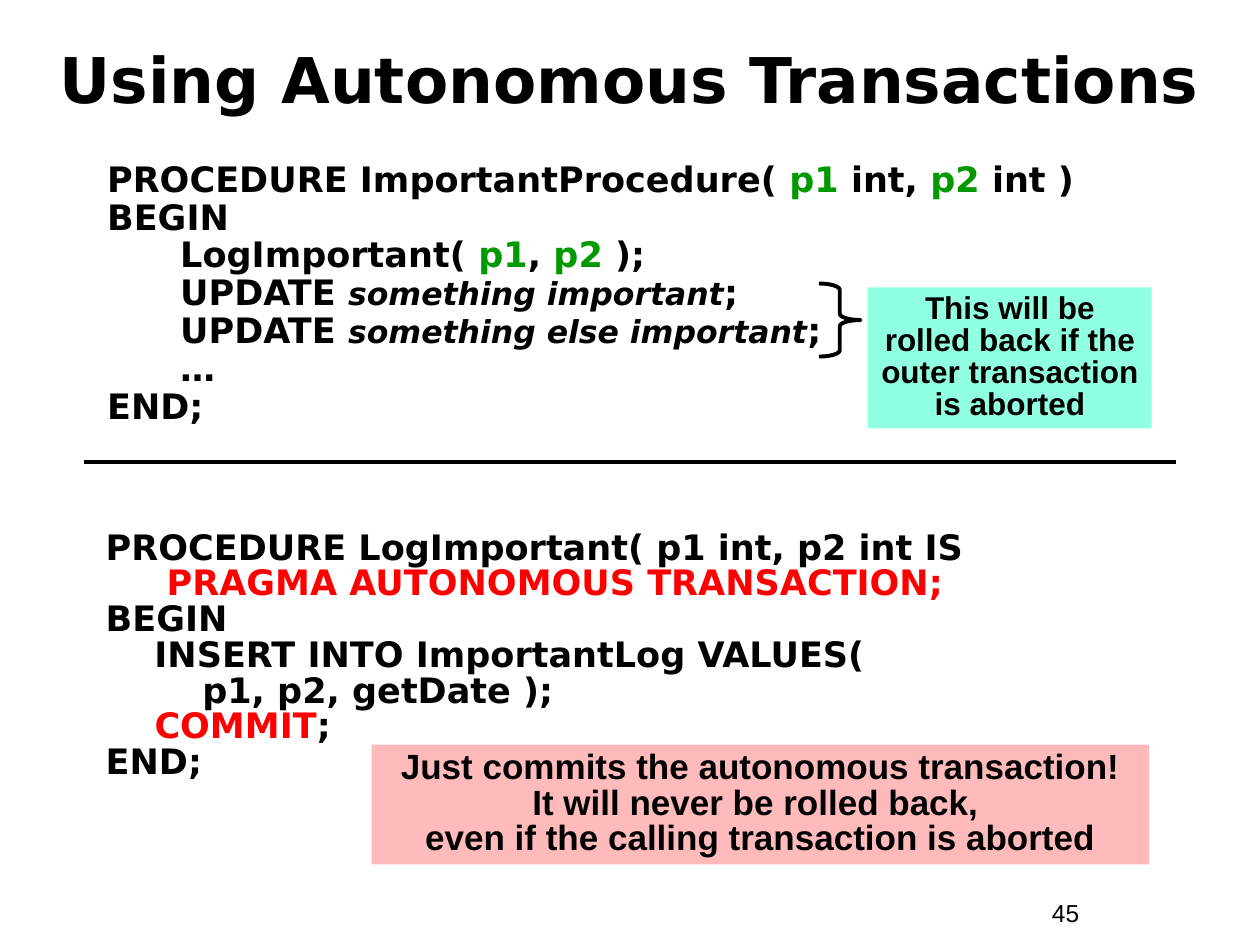
import pptx
import pptx.dml.color
import pptx.enum.shapes
import pptx.enum.text
import pptx.oxml
import pptx.oxml.ns
import pptx.util
from pptx.util import Inches

Align = pptx.enum.text.PP_ALIGN
Anchor = pptx.enum.text.MSO_ANCHOR
Shape = pptx.enum.shapes.MSO_SHAPE

BLACK, GREEN, RED = "000000", "009900", "FF0000"
PINK, MINT = "FFBBBB", "91FFE2"
CODE_FONT, NOTE_FONT = "DejaVu Sans", "Arial"


def rgb(value):
    return pptx.dml.color.RGBColor.from_string(value)


def add_run(paragraph, text, *, font, size, color=BLACK, bold=True, italic=False):
    """Add formatted text, turning each newline into a line break."""
    for index, line in enumerate(text.split("\n")):
        if index:
            paragraph.add_line_break()
        run = paragraph.add_run()
        run.text = line
        run.font.name = font
        run.font.size = pptx.util.Pt(size)
        run.font.bold = bold
        run.font.italic = italic
        run.font.color.rgb = rgb(color)


def write(frame, paragraphs, *, align=Align.LEFT, anchor=Anchor.TOP, spacing=1.0,
          before=0, hanging=0, **style):
    """Fill a frame; a paragraph is a list of strings and (string, format) pairs."""
    frame.word_wrap = True
    frame.auto_size = pptx.enum.text.MSO_AUTO_SIZE.NONE
    frame.vertical_anchor = anchor
    frame.margin_left = frame.margin_right = Inches(0.1)
    frame.margin_top = frame.margin_bottom = Inches(0.05)
    for index, pieces in enumerate(paragraphs):
        paragraph = frame.add_paragraph() if index else frame.paragraphs[0]
        properties = paragraph._p.get_or_add_pPr()
        properties.set("marL", str(Inches(hanging)))
        properties.set("indent", str(-Inches(hanging)))
        properties.append(pptx.oxml.parse_xml(
            f"<a:buNone {pptx.oxml.ns.nsdecls('a')}/>"))
        paragraph.alignment = align
        paragraph.line_spacing = spacing
        paragraph.space_before = pptx.util.Pt(before if index else 0)
        for piece in pieces:
            text, changes = (piece, {}) if isinstance(piece, str) else piece
            add_run(paragraph, text, **{**style, **changes})


class SlideBuilder:
    code_style = dict(font=CODE_FONT, size=20, spacing=0.85, hanging=0.38)
    note_style = dict(font=NOTE_FONT, align=Align.CENTER, spacing=0.85)
    line_width = pptx.util.Pt(2.25)

    def __init__(self, slide):
        self.slide = slide

    def place(self, shape, box):
        shape.left, shape.top, shape.width, shape.height = map(Inches, box)
        return shape.text_frame

    def title(self, text, box):
        write(self.place(self.slide.shapes.title, box), [[text]], font=CODE_FONT,
              size=36, align=Align.CENTER, anchor=Anchor.MIDDLE)

    def body_code(self, lines, box):
        write(self.place(self.slide.placeholders[1], box), lines, before=1.2,
              **self.code_style)

    def text(self, lines, box, **style):
        frame = self.slide.shapes.add_textbox(*map(Inches, box)).text_frame
        write(frame, lines, **style)

    def code(self, lines, box):
        self.text(lines, box, **self.code_style)

    def preset(self, kind, box):
        shape = self.slide.shapes.add_shape(kind, *map(Inches, box))
        shape.shadow.inherit = False
        return shape

    def note(self, text, box, fill, size):
        shape = self.preset(Shape.RECTANGLE, box)
        shape.fill.solid()
        shape.fill.fore_color.rgb = rgb(fill)
        shape.line.fill.background()
        write(shape.text_frame, [[text]], size=size, **self.note_style)

    def brace(self, box):
        shape = self.preset(Shape.RIGHT_BRACE, box)
        shape.adjustments[0] = 0.15
        shape.fill.background()
        self.stroke(shape)

    def divider(self, left, right, y):
        line = self.slide.shapes.add_connector(
            pptx.enum.shapes.MSO_CONNECTOR.STRAIGHT,
            Inches(left), Inches(y), Inches(right), Inches(y))
        self.stroke(line)
        line._element.spPr.append(pptx.oxml.parse_xml(
            f"<a:effectLst {pptx.oxml.ns.nsdecls('a')}/>"))

    def stroke(self, shape):
        shape.line.color.rgb = rgb(BLACK)
        shape.line.width = self.line_width


def update_line(target):
    return ["      UPDATE ", (target, dict(size=18, italic=True)), ";"]


def main():
    presentation = pptx.Presentation()
    presentation.slide_width, presentation.slide_height = Inches(10), Inches(7.5)
    builder = SlideBuilder(presentation.slides.add_slide(presentation.slide_layouts[1]))

    p1, p2 = (("p1", dict(color=GREEN)), ("p2", dict(color=GREEN)))
    builder.title("Using Autonomous Transactions", (0.33, 0.25, 9.33, 0.75))
    builder.body_code([
        ["PROCEDURE ImportantProcedure( ", p1, " int, ", p2, " int )"],
        ["BEGIN"],
        ["      LogImportant( ", p1, ", ", p2, " );"],
        update_line("something important"),
        update_line("something else important"),
        ["      …"],
        ["END;"],
    ], (0.75, 1.25, 8.58, 2.42))
    builder.divider(0.67, 9.33, 3.67)
    builder.code([
        ["PROCEDURE LogImportant( p1 int, p2 int IS"],
        [("     PRAGMA AUTONOMOUS TRANSACTION;", dict(color=RED))],
        ["BEGIN"],
        ["    INSERT INTO ImportantLog VALUES( \n    p1, p2, getDate );"],
        ["    ", ("COMMIT", dict(color=RED)), ";"],
        ["END;"],
    ], (0.74, 4.17, 8.58, 2.25))
    builder.note("Just commits the autonomous transaction!\n"
                 "It will never be rolled back, \n"
                 "even if the calling transaction is aborted",
                 (2.95, 5.91, 6.17, 0.95), PINK, 20)
    builder.brace((6.5, 2.25, 0.33, 0.58))
    builder.note("This will be rolled back if the outer transaction is aborted",
                 (6.89, 2.28, 2.25, 1.12), MINT, 18)
    builder.text([["45"]], (8.25, 7.08, 0.92, 0.34), font=NOTE_FONT, size=14, bold=False)

    presentation.save("out.pptx")


if __name__ == "__main__":
    main()
